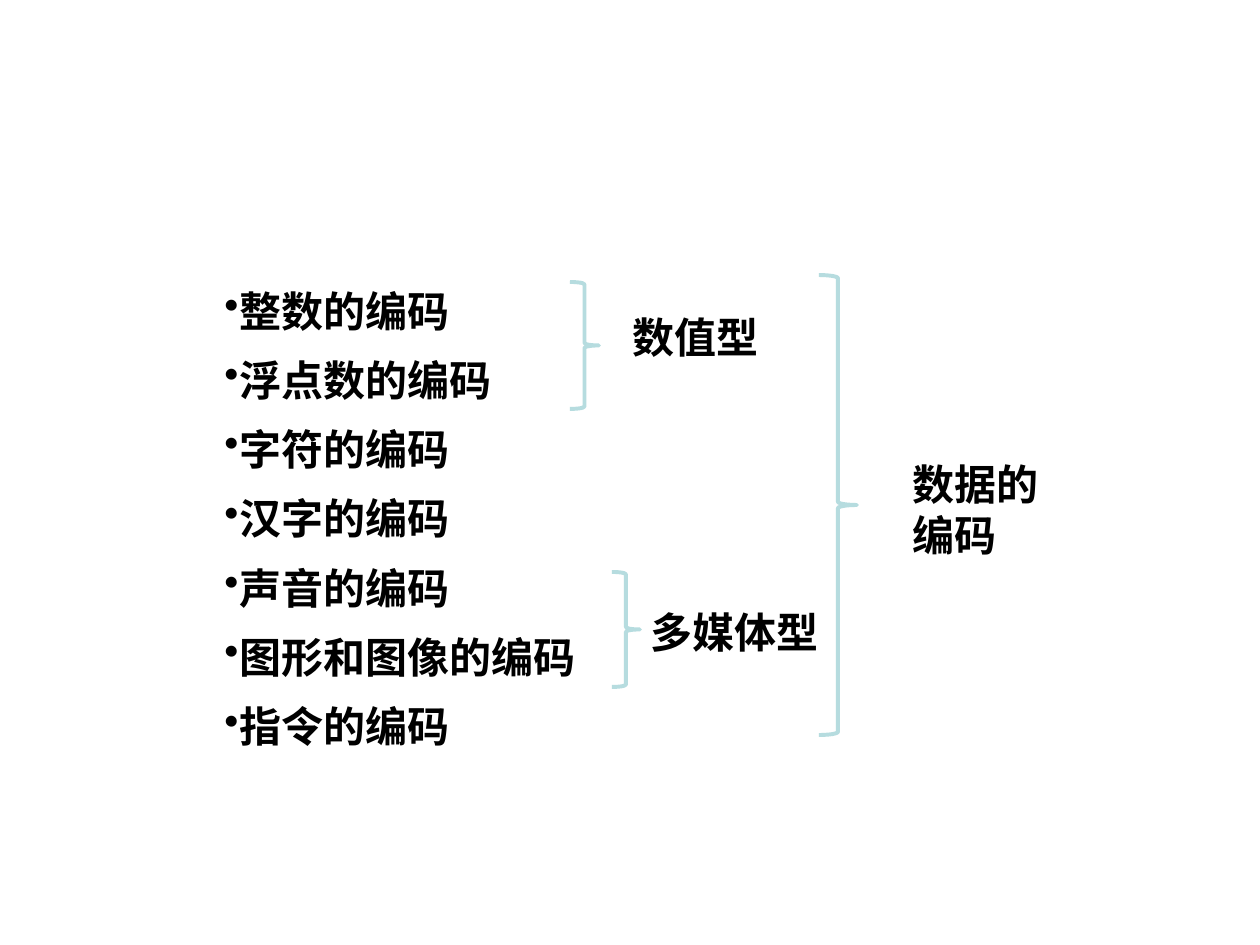
"""Build a slide that groups data encodings with braces."""
from dataclasses import dataclass

import pptx
import pptx.dml.color
import pptx.enum.shapes
import pptx.enum.text
import pptx.oxml
import pptx.oxml.ns
import pptx.util

PX_PER_INCH = 126
TEXT_FONT = "Noto Sans CJK SC"
LABEL_FONT = "Quicksand"
BLACK = "000000"
BRACE_COLOR = "B6DCDF"
ENCODINGS = [
    "整数的编码",
    "浮点数的编码",
    "字符的编码",
    "汉字的编码",
    "声音的编码",
    "图形和图像的编码",
    "指令的编码",
]


@dataclass(frozen=True)
class Box:
    """Position and size in px."""

    left: int
    top: int
    width: int
    height: int


@dataclass(frozen=True)
class Group:
    """A brace and the label it points to."""

    brace: Box
    label_box: Box
    label: str


GROUPS = [
    Group(Box(570, 282, 29, 127), Box(620, 302, 166, 64), "数值型"),
    Group(Box(819, 275, 38, 460), Box(900, 449, 159, 115), "数据的编码"),
    Group(Box(612, 572, 28, 115), Box(638, 597, 203, 64), "多媒体型"),
]


def emu(px: int) -> int:
    """Turn px into EMU."""
    return round(px * 914400 / PX_PER_INCH)


def frame(box: Box) -> tuple[int, ...]:
    """Return the box as left, top, width and height in EMU."""
    return tuple(emu(px) for px in (box.left, box.top, box.width, box.height))


def color(value: str) -> pptx.dml.color.RGBColor:
    """Return the colour of a hex string."""
    return pptx.dml.color.RGBColor.from_string(value)


def add_bullet(paragraph) -> None:
    """Put a round bullet directly before the paragraph."""
    properties = paragraph._p.get_or_add_pPr()
    properties.set("marL", "0")
    properties.set("indent", "0")
    bullet = pptx.oxml.parse_xml(
        f'<a:buChar {pptx.oxml.ns.nsdecls("a")} char="•"/>'
    )
    properties.append(bullet)


def add_text(slide, box: Box, lines: list[str], *, font: str,
             bulleted: bool = False, before: float = 0, after: float = 0) -> None:
    """Add a text box with one bold paragraph per line."""
    text_frame = slide.shapes.add_textbox(*frame(box)).text_frame
    text_frame.word_wrap = True
    text_frame.margin_top = emu(10)
    for index, line in enumerate(lines):
        paragraph = text_frame.add_paragraph() if index else text_frame.paragraphs[0]
        paragraph.line_spacing = pptx.util.Pt(28.8)
        paragraph.space_before = pptx.util.Pt(before)
        paragraph.space_after = pptx.util.Pt(after)
        if bulleted:
            add_bullet(paragraph)
        run = paragraph.add_run()
        run.text = line
        run.font.size = pptx.util.Pt(24)
        run.font.bold = True
        run.font.color.rgb = color(BLACK)
        run.font.name = font
        east_asian = pptx.oxml.parse_xml(
            f'<a:ea {pptx.oxml.ns.nsdecls("a")} typeface="{TEXT_FONT}"/>'
        )
        run.font._element.append(east_asian)


def add_brace(slide, box: Box) -> None:
    """Add an unfilled right brace."""
    shape = slide.shapes.add_shape(
        pptx.enum.shapes.MSO_SHAPE.RIGHT_BRACE, *frame(box)
    )
    shape.shadow.inherit = False
    shape.fill.background()
    shape.line.color.rgb = color(BRACE_COLOR)
    shape.line.width = pptx.util.Pt(2.25)


def main() -> None:
    """Build and save the presentation."""
    presentation = pptx.Presentation()
    presentation.slide_width = emu(1260)
    presentation.slide_height = emu(945)
    slide = presentation.slides.add_slide(presentation.slide_layouts[6])
    add_text(slide, Box(212, 275, 810, 520), ENCODINGS, font=TEXT_FONT,
             bulleted=True, before=4.8, after=6)
    for group in GROUPS:
        add_brace(slide, group.brace)
        add_text(slide, group.label_box, [group.label], font=LABEL_FONT)
    presentation.save("out.pptx")


if __name__ == "__main__":
    main()
